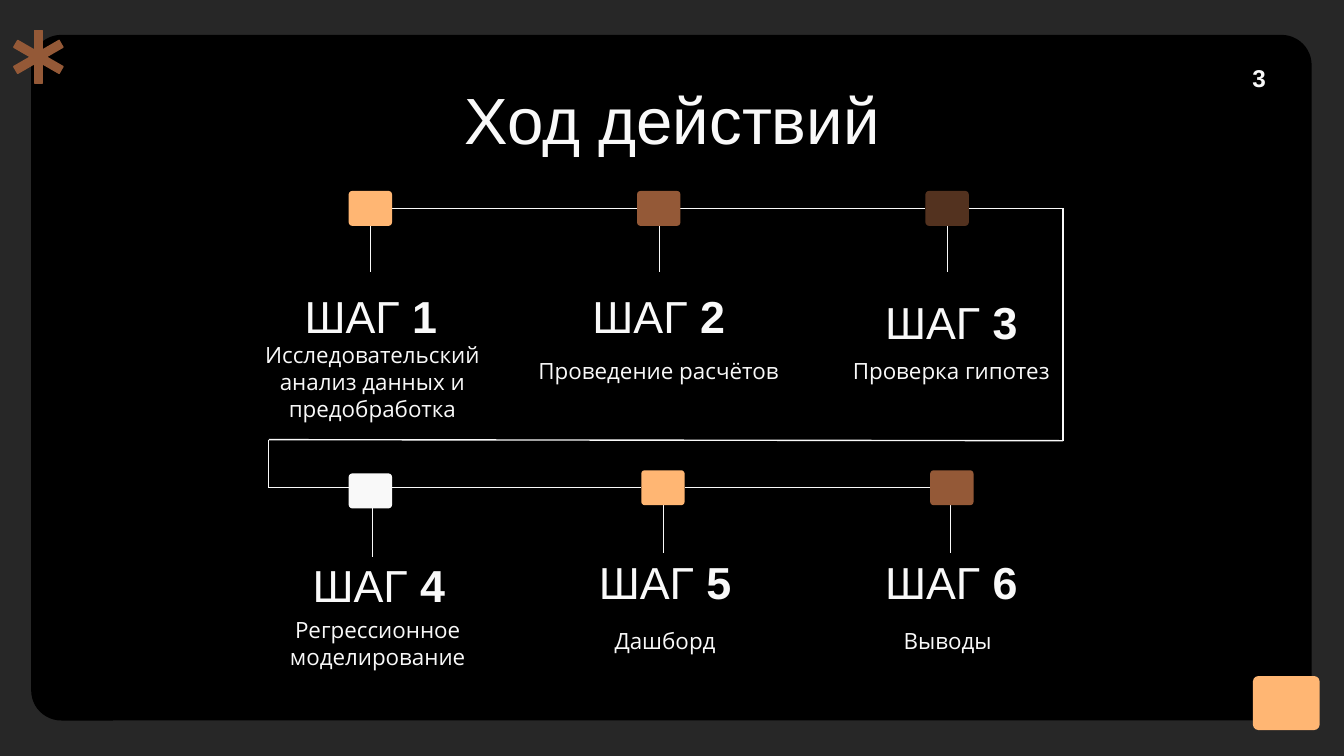
import itertools

import pptx
import pptx.dml.color
import pptx.enum.shapes
import pptx.enum.text
import pptx.oxml
import pptx.oxml.ns
import pptx.util

Cm = pptx.util.Cm
Pt = pptx.util.Pt
RGBColor = pptx.dml.color.RGBColor
SHAPES = pptx.enum.shapes.MSO_SHAPE
ANCHOR = pptx.enum.text.MSO_ANCHOR
ALIGN = pptx.enum.text.PP_ALIGN

GREY = RGBColor(0x27, 0x27, 0x27)
BLACK = RGBColor(0, 0, 0)
WHITE = RGBColor(0xF9, 0xF9, 0xF9)
ORANGE = RGBColor(0xFF, 0xB6, 0x73)
BROWN = RGBColor(0x94, 0x59, 0x37)
DARK_BROWN = RGBColor(0x53, 0x32, 0x1F)

TITLE = "Ход действий"
PAGE_NUMBER = "3"

# Lengths are in centimetres. Each step: description, marker colour,
# marker left and top, stem x, heading centre and top, description centre and top
ROWS = [
    {"line_y": 3.94, "stem": 0.87, "steps": [
        ("Исследовательский анализ данных и предобработка", ORANGE,
         (6.59, 3.61), 7.0, (7.01, 5.13), (7.04, 6.2)),
        ("Проведение расчётов", BROWN,
         (12.04, 3.61), 12.46, (12.45, 5.13), (12.45, 6.5)),
        ("Проверка гипотез", DARK_BROWN,
         (17.49, 3.61), 17.91, (17.98, 5.23), (17.98, 6.5)),
    ]},
    {"line_y": 9.22, "stem": 0.91, "steps": [
        ("Регрессионное моделирование", WHITE,
         (6.59, 8.95), 7.04, (7.16, 10.21), (7.14, 11.4)),
        ("Дашборд", ORANGE,
         (12.12, 8.89), 12.54, (12.57, 10.16), (12.57, 11.61)),
        ("Выводы", BROWN,
         (17.58, 8.89), 17.96, (17.98, 10.16), (17.91, 11.61)),
    ]},
]
MARKER_WIDTH, MARKER_HEIGHT = 0.82, 0.66
TEXT_WIDTH = 5.06
TURN_RIGHT, TURN_LEFT, TURN_TOP, TURN_BOTTOM = 20.09, 5.08, 8.31, 8.33


def add_block(slide, kind, left, top, width, height, color, corner=None):
    shape = slide.shapes.add_shape(kind, Cm(left), Cm(top), Cm(width), Cm(height))
    shape.shadow.inherit = False
    shape.fill.solid()
    shape.fill.fore_color.rgb = color
    shape.line.fill.background()
    if corner is not None:
        shape.adjustments[0] = corner
    return shape


def add_line(slide, start, end):
    line = slide.shapes.add_connector(
        pptx.enum.shapes.MSO_CONNECTOR.STRAIGHT, *map(Cm, start + end))
    line.line.color.rgb = WHITE
    line.line.width = Pt(0.75)
    line._element.spPr.append(pptx.oxml.parse_xml(
        f"<a:effectLst {pptx.oxml.ns.nsdecls('a')}/>"))


def add_text(slide, text, left, top, width, height, size, font="Arial", bold=False,
             bold_tail="", align=ALIGN.CENTER, anchor=ANCHOR.TOP):
    """Add a text box; bold_tail follows the text in bold."""
    box = slide.shapes.add_textbox(Cm(left), Cm(top), Cm(width), Cm(height))
    frame = box.text_frame
    frame.word_wrap = True
    frame.vertical_anchor = anchor
    frame.margin_left = frame.margin_right = Cm(0.25)
    frame.margin_top = frame.margin_bottom = Cm(0.25)
    paragraph = frame.paragraphs[0]
    paragraph.alignment = align
    for part, is_bold in ((text, bold), (bold_tail, True)):
        if part:
            run = paragraph.add_run()
            run.text = part
            run.font.name = font
            run.font.size = Pt(size)
            run.font.bold = is_bold
            run.font.color.rgb = WHITE


def add_background(slide):
    slide.background.fill.solid()
    slide.background.fill.fore_color.rgb = GREY
    add_block(slide, SHAPES.ROUNDED_RECTANGLE, 0.59, 0.66, 24.2, 12.96, BLACK, 0.044)
    add_block(slide, SHAPES.ROUNDED_RECTANGLE, 23.68, 12.78, 1.26, 1.02, ORANGE, 0.1)
    for angle in (0, 120, 240):
        bar = add_block(slide, SHAPES.RECTANGLE, 0.65, 0.58, 0.15, 0.99, BROWN)
        bar.rotation = angle
        bar.line.color.rgb = BROWN
        bar.line.width = Pt(0.75)


def add_route(slide):
    """Join the markers of each row, then the end of row one to the start of row two."""
    for row in ROWS:
        lefts = [step[2][0] for step in row["steps"]]
        for left, following in itertools.pairwise(lefts):
            add_line(slide, (left + MARKER_WIDTH, row["line_y"]),
                     (following, row["line_y"]))
    first, second = ROWS
    turn = [
        (first["steps"][-1][2][0] + MARKER_WIDTH, first["line_y"]),
        (TURN_RIGHT, first["line_y"]),
        (TURN_RIGHT, TURN_BOTTOM),
        (TURN_LEFT, TURN_TOP),
        (TURN_LEFT, second["line_y"]),
        (second["steps"][0][2][0], second["line_y"]),
    ]
    for start, end in itertools.pairwise(turn):
        add_line(slide, start, end)


def add_step(slide, number, step, stem_length):
    description, color, marker, stem_x, heading, detail = step
    stem_top = marker[1] + MARKER_HEIGHT
    add_line(slide, (stem_x, stem_top), (stem_x, stem_top + stem_length))
    add_block(slide, SHAPES.ROUNDED_RECTANGLE, *marker, MARKER_WIDTH, MARKER_HEIGHT,
              color, 0.1)
    add_text(slide, "ШАГ ", heading[0] - TEXT_WIDTH / 2, heading[1], TEXT_WIDTH, 1.6,
             size=24, bold_tail=str(number), anchor=ANCHOR.BOTTOM)
    add_text(slide, description, detail[0] - TEXT_WIDTH / 2, detail[1], TEXT_WIDTH, 0.89,
             size=12, font="Open Sans")


def main():
    presentation = pptx.Presentation()
    presentation.slide_width = Cm(25.4)
    presentation.slide_height = Cm(14.29)
    slide = presentation.slides.add_slide(presentation.slide_layouts[6])
    add_background(slide)
    add_text(slide, PAGE_NUMBER, 23.42, 0.94, 1.52, 1.09, size=13, bold=True,
             align=ALIGN.LEFT)
    add_text(slide, TITLE, 2.0, 1.25, 21.41, 1.6, size=35)
    add_route(slide)
    numbers = itertools.count(1)
    for row in ROWS:
        for step in row["steps"]:
            add_step(slide, next(numbers), step, row["stem"])
    presentation.save("out.pptx")


if __name__ == "__main__":
    main()
